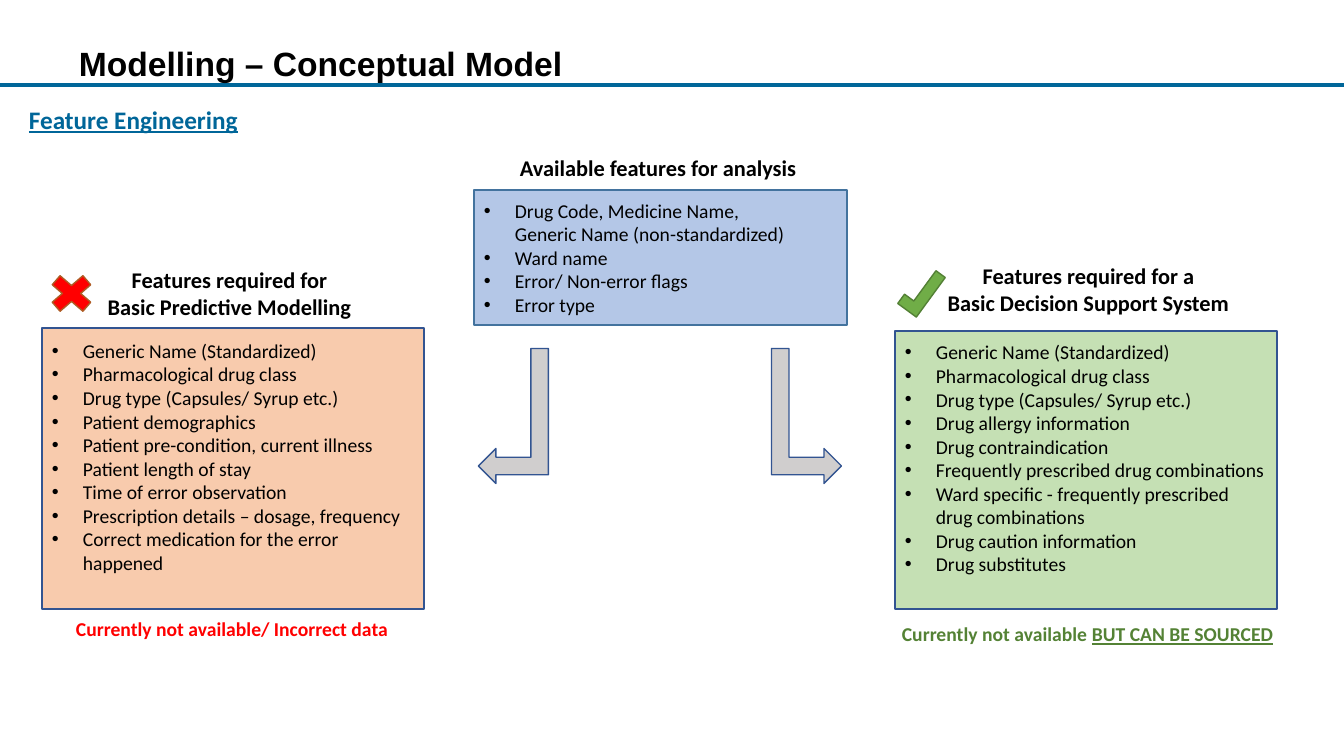
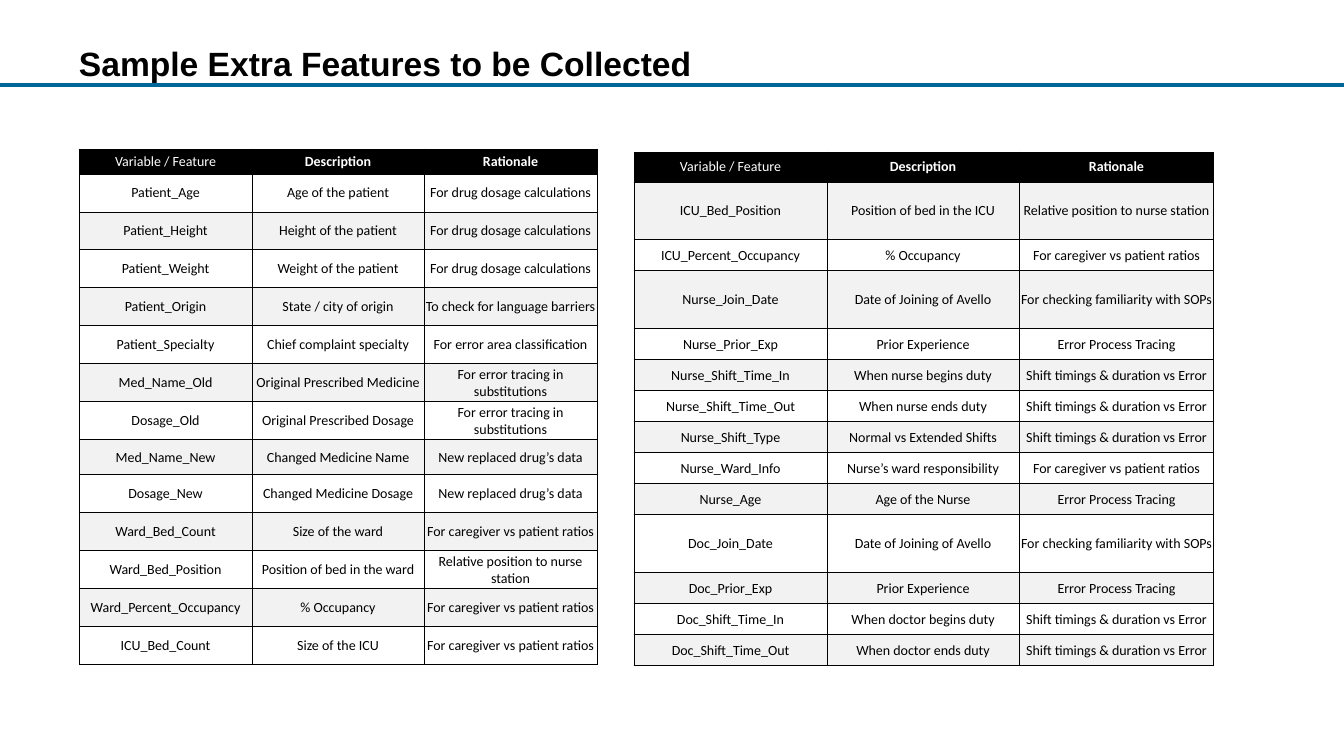
from lxml import etree
from pptx import Presentation
from pptx.dml.color import RGBColor
from pptx.enum.shapes import MSO_CONNECTOR, MSO_SHAPE
from pptx.enum.text import MSO_ANCHOR, MSO_AUTO_SIZE, PP_ALIGN
from pptx.oxml.ns import qn
from pptx.util import Pt

RECTANGLE = MSO_SHAPE.RECTANGLE
CROSS = MSO_SHAPE.MATH_MULTIPLY
CORNER = MSO_SHAPE.CORNER
BENT_ARROW = MSO_SHAPE.BENT_UP_ARROW
STRAIGHT = MSO_CONNECTOR.STRAIGHT
MIDDLE = MSO_ANCHOR.MIDDLE
GROW = MSO_AUTO_SIZE.SHAPE_TO_FIT_TEXT
LEFT, CENTER = PP_ALIGN.LEFT, PP_ALIGN.CENTER

PX_PER_INCH = 100.8
SLIDE_WIDTH, SLIDE_HEIGHT = 1344, 756
BLACK, WHITE, SHADE = "000000", "FFFFFF", "F2F2F2"
TEAL, NAVY, RED = "006699", "325491", "FF0000"


def px(length):
    return round(length * 914400 / PX_PER_INCH)


def color(value):
    return RGBColor.from_string(value)


class Deck:
    """Holds the shared style and the current slide."""

    title_font, body_font = "Arial", "Calibri"
    bullet_indent = 31
    cell_inset = 1

    def __init__(self):
        self.presentation = Presentation()
        self.presentation.slide_width = px(SLIDE_WIDTH)
        self.presentation.slide_height = px(SLIDE_HEIGHT)
        self.slide = None

    def add_slide(self, title):
        self.slide = self.presentation.slides.add_slide(self.presentation.slide_layouts[6])
        self.rule(85)
        frame = self.text_box((69, 46, 770, 40))
        frame.word_wrap = True
        frame.vertical_anchor = MIDDLE
        paragraph = frame.paragraphs[0]
        paragraph.text = title
        paragraph.line_spacing = 0.9
        self.format(paragraph, 24, font_name=self.title_font, bold=True)

    def rule(self, y):
        line = self.slide.shapes.add_connector(STRAIGHT, 0, px(y), px(SLIDE_WIDTH), px(y))
        line.line.color.rgb = color(TEAL)
        line.line.width = Pt(2.25)
        etree.SubElement(line.element.spPr, qn("a:effectLst"))

    def text_box(self, box):
        return self.slide.shapes.add_textbox(*map(px, box)).text_frame

    def format(self, paragraph, size, text_color=BLACK, bold=False, font_name=None, align=LEFT):
        paragraph.alignment = align
        for run in paragraph.runs:
            font = run.font
            font.name = font_name or self.body_font
            font.size = Pt(size)
            font.bold = bold
            font.color.rgb = color(text_color)

    def label(self, box, text, size=16, text_color=BLACK, underlined="", align=LEFT, wrap=False):
        frame = self.text_box(box)
        frame.word_wrap = wrap
        frame.auto_size = GROW
        paragraph = frame.paragraphs[0]
        paragraph.text = text
        if underlined:
            run = paragraph.add_run()
            run.text = underlined
            run.font.underline = True
        self.format(paragraph, size, text_color, bold=True, align=align)

    def shape(self, kind, box, fill, outline=NAVY, rotation=0, flip=None):
        shape = self.slide.shapes.add_shape(kind, *map(px, box))
        shape.shadow.inherit = False
        shape.fill.solid()
        shape.fill.fore_color.rgb = color(fill)
        shape.line.color.rgb = color(outline)
        shape.line.width = Pt(1)
        shape.rotation = rotation
        if flip:
            shape.element.spPr.find(qn("a:xfrm")).set(flip, "1")
        return shape

    def bullet_box(self, box, items, fill, outline=NAVY, bottom_inset=5):
        frame = self.shape(RECTANGLE, box, fill, outline).text_frame
        frame.word_wrap = True
        frame.vertical_anchor = MIDDLE
        frame.margin_bottom = px(bottom_inset)
        for index, item in enumerate(items):
            paragraph = frame.add_paragraph() if index else frame.paragraphs[0]
            paragraph.text = item
            self.format(paragraph, 14)
            properties = paragraph._p.get_or_add_pPr()
            properties.set("marL", str(px(self.bullet_indent)))
            properties.set("indent", str(-px(self.bullet_indent)))
            etree.SubElement(properties, qn("a:buFont"), typeface="Arial")
            etree.SubElement(properties, qn("a:buChar"), char="•")

    def cell(self, cell, text, fill, text_color, bold):
        cell.text_frame.text = text
        self.format(cell.text_frame.paragraphs[0], 10, text_color, bold, align=CENTER)
        cell.vertical_anchor = MIDDLE
        cell.margin_left = cell.margin_right = px(self.cell_inset)
        cell.margin_top = cell.margin_bottom = px(self.cell_inset)
        cell.fill.solid()
        cell.fill.fore_color.rgb = color(fill)
        # Borders come before the fill in the cell properties
        properties = cell._tc.get_or_add_tcPr()
        for position, side in enumerate(("lnL", "lnR", "lnT", "lnB")):
            border = etree.Element(qn("a:" + side), w=str(Pt(0.75)))
            solid = etree.SubElement(border, qn("a:solidFill"))
            etree.SubElement(solid, qn("a:srgbClr"), val=BLACK)
            properties.insert(position, border)

    def table(self, left, top, widths, rows, heights, shaded_remainder):
        """Rows whose index modulo 2 equals shaded_remainder are shaded."""
        table = self.slide.shapes.add_table(
            len(rows), len(widths), px(left), px(top), px(sum(widths)), px(sum(heights))
        ).table
        table.first_row = table.horz_banding = False
        for column, width in zip(table.columns, widths):
            column.width = px(width)
        for index, (row, height) in enumerate(zip(rows, heights)):
            table.rows[index].height = px(height)
            header = index == 0
            body_fill = SHADE if index % 2 == shaded_remainder else WHITE
            for column, text in enumerate(row):
                self.cell(
                    table.cell(index, column), text,
                    fill=BLACK if header else body_fill,
                    text_color=WHITE if header else BLACK,
                    bold=header and column > 0,
                )


# Wording
AVAILABLE = [
    "Drug Code, Medicine Name,\nGeneric Name (non-standardized)",
    "Ward name",
    "Error/ Non-error flags",
    "Error type",
]
SHARED = [
    "Generic Name (Standardized)",
    "Pharmacological drug class",
    "Drug type (Capsules/ Syrup etc.)",
]
PREDICTIVE = SHARED + [
    "Patient demographics",
    "Patient pre-condition, current illness",
    "Patient length of stay",
    "Time of error observation",
    "Prescription details – dosage, frequency",
    "Correct medication for the error happened",
]
DECISION = SHARED + [
    "Drug allergy information",
    "Drug contraindication",
    "Frequently prescribed drug combinations",
    "Ward specific - frequently prescribed drug combinations",
    "Drug caution information",
    "Drug substitutes",
]

# Rationales used by several features
DOSAGE = "For drug dosage calculations"
SUBSTITUTION = "For error tracing in substitutions"
REPLACED = "New replaced drug’s data"
RATIOS = "For caregiver vs patient ratios"
STATION = "Relative position to nurse station"
FAMILIARITY = "For checking familiarity with SOPs"
TRACING = "Error Process Tracing"
SHIFTS = "Shift timings & duration vs Error"

HEADER = ("Variable / Feature", "Description", "Rationale")
PATIENT_ROWS = [
    HEADER,
    ("Patient_Age", "Age of the patient", DOSAGE),
    ("Patient_Height", "Height of the patient", DOSAGE),
    ("Patient_Weight", "Weight of the patient", DOSAGE),
    ("Patient_Origin", "State / city of origin", "To check for language barriers"),
    ("Patient_Specialty", "Chief complaint specialty", "For error area classification"),
    ("Med_Name_Old", "Original Prescribed Medicine", SUBSTITUTION),
    ("Dosage_Old", "Original Prescribed Dosage", SUBSTITUTION),
    ("Med_Name_New", "Changed Medicine Name", REPLACED),
    ("Dosage_New", "Changed Medicine Dosage", REPLACED),
    ("Ward_Bed_Count", "Size of the ward", RATIOS),
    ("Ward_Bed_Position", "Position of bed in the ward", STATION),
    ("Ward_Percent_Occupancy", "% Occupancy", RATIOS),
    ("ICU_Bed_Count", "Size of the ICU", RATIOS),
]
STAFF_ROWS = [
    HEADER,
    ("ICU_Bed_Position", "Position of bed in the ICU", STATION),
    ("ICU_Percent_Occupancy", "% Occupancy", RATIOS),
    ("Nurse_Join_Date", "Date of Joining of Avello", FAMILIARITY),
    ("Nurse_Prior_Exp", "Prior Experience", TRACING),
    ("Nurse_Shift_Time_In", "When nurse begins duty", SHIFTS),
    ("Nurse_Shift_Time_Out", "When nurse ends duty", SHIFTS),
    ("Nurse_Shift_Type", "Normal vs Extended Shifts", SHIFTS),
    ("Nurse_Ward_Info", "Nurse’s ward responsibility", RATIOS),
    ("Nurse_Age", "Age of the Nurse", TRACING),
    ("Doc_Join_Date", "Date of Joining of Avello", FAMILIARITY),
    ("Doc_Prior_Exp", "Prior Experience", TRACING),
    ("Doc_Shift_Time_In", "When doctor begins duty", SHIFTS),
    ("Doc_Shift_Time_Out", "When doctor ends duty", SHIFTS),
]


def conceptual_model(deck):
    deck.add_slide("Modelling – Conceptual Model")
    deck.label((19, 99, 653, 40), "", 18, TEAL, underlined="Feature Engineering", wrap=True)

    # Available features
    deck.label((510, 149, 300, 37), "Available features for analysis")
    deck.bullet_box((474, 190, 373, 135), AVAILABLE, "B4C7E7", "43739E")

    # Predictive modelling, rejected
    deck.label((96, 261, 267, 65), "Features required for\nBasic Predictive Modelling",
               align=CENTER)
    deck.bullet_box((42, 328, 382, 281), PREDICTIVE, "F8CBAD", bottom_inset=29)
    deck.shape(CROSS, (42, 268, 59, 51), RED, "AF5C24")
    deck.label((66, 612, 335, 34), "Currently not available/ Incorrect data", 14, RED)

    # Decision support, accepted
    deck.label((936, 257, 305, 65), "Features required for a\nBasic Decision Support System",
               align=CENTER)
    deck.bullet_box((895, 331, 382, 278), DECISION, "C5E0B4", bottom_inset=29)
    deck.shape(CORNER, (910, 266, 23, 49), "70AD47", "538035", 216.2, "flipV")
    deck.label((892, 617, 394, 34), "Currently not available ", 14, "548235",
               underlined="BUT CAN BE SOURCED")

    # Arrows from the available features to both sides
    for left, rotation, flip in ((739, 90, None), (446, 270, "flipH")):
        deck.shape(BENT_ARROW, (left, 381, 135, 70), "D0CECE", rotation=rotation, flip=flip)


def extra_features(deck):
    deck.add_slide("Sample Extra Features to be Collected")
    patient_heights = [25] + [35 if row[0] == "Med_Name_New" else 38 for row in PATIENT_ROWS[1:]]
    deck.table(79, 149, (173, 172, 173), PATIENT_ROWS, patient_heights, shaded_remainder=0)
    tall = ("ICU_Bed_Position", "Nurse_Join_Date", "Doc_Join_Date")
    staff_heights = [30] + [58 if row[0] in tall else 31 for row in STAFF_ROWS[1:]]
    deck.table(634, 152, (193, 192, 195), STAFF_ROWS, staff_heights, shaded_remainder=1)


def main():
    deck = Deck()
    conceptual_model(deck)
    extra_features(deck)
    deck.presentation.save("out.pptx")


if __name__ == "__main__":
    main()
